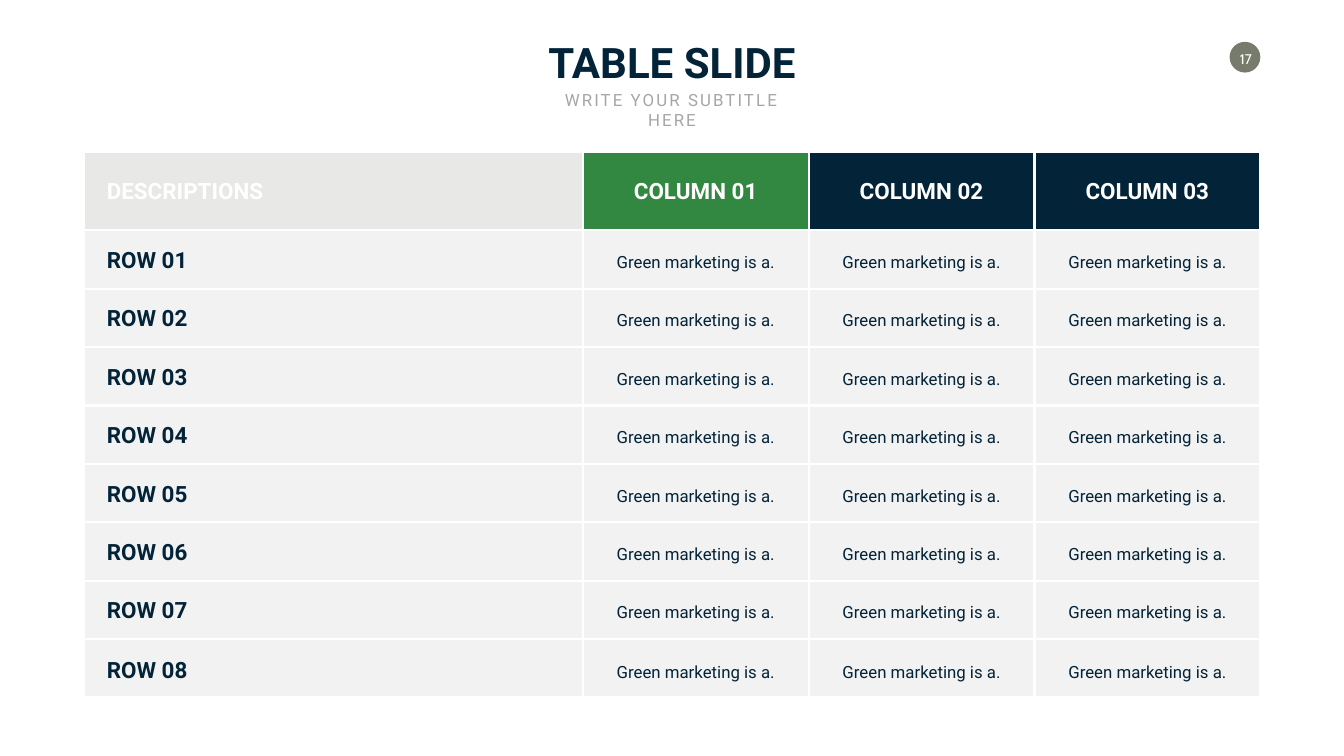
"""Build a table slide with a title, a subtitle and a page badge."""
from pptx import Presentation
from pptx.dml.color import RGBColor
from pptx.enum.shapes import MSO_SHAPE
from pptx.enum.text import MSO_ANCHOR, PP_ALIGN
from pptx.util import Inches, Pt

LEFT, MID = PP_ALIGN.LEFT, PP_ALIGN.CENTER
TOP, CORE = MSO_ANCHOR.TOP, MSO_ANCHOR.MIDDLE
OVAL, RECT = MSO_SHAPE.OVAL, MSO_SHAPE.RECTANGLE

INK = {
    "navy": "022338", "green": "328840", "white": "FFFFFF", "mist": "E8E9E6",
    "pale": "F2F2F2", "gray": "A6A6A6", "olive": "767B6C",
}
HEAD = [("DESCRIPTIONS", "mist"), ("COLUMN 01", "green"),
        ("COLUMN 02", "navy"), ("COLUMN 03", "navy")]
NAMES = [f"ROW {n:02}" for n in range(1, 9)]
BODY = "Green marketing is a."

WIDE, HIGH = 26.66, 15
GRID_TOP, GRID_END = 3.01, 13.84
CAP = 1.56
COLS = [9.9] + [4.48] * 3
ROWS = [CAP] + [(GRID_END - GRID_TOP - CAP) / len(NAMES)] * len(NAMES)
EDGE = (WIDE - sum(COLS)) / 2
PAD = 0.36
DOT, DOT_TOP = 0.61, 0.83
LAST_DROP = 0.02


def paint(fill, name):
    fill.solid()
    fill.fore_color.rgb = RGBColor.from_string(INK[name])


def write(frame, text, size, color, bold=False, align=MID, face="Roboto"):
    para = frame.paragraphs[0]
    para.alignment = align
    run = para.add_run()
    run.text = text
    font = run.font
    font.name, font.size, font.bold = face, Pt(size), bold
    font.color.rgb = RGBColor.from_string(INK[color])
    return para


def add_box(slide, mid, top, wide, high, wrap=True, inset=None, anchor=TOP):
    box = slide.shapes.add_textbox(
        Inches(mid - wide / 2), Inches(top), Inches(wide), Inches(high))
    frame = box.text_frame
    frame.word_wrap = wrap
    frame.vertical_anchor = anchor
    if inset is not None:
        frame.margin_left = frame.margin_right = inset
        frame.margin_top = frame.margin_bottom = inset
    return frame


def add_block(slide, kind, left, top, wide, high, shade):
    block = slide.shapes.add_shape(
        kind, Inches(left), Inches(top), Inches(wide), Inches(high))
    block.shadow.inherit = False
    paint(block.fill, shade)
    return block


def add_title(slide):
    frame = add_box(slide, WIDE / 2, 0.67, 5.15, 1.11, wrap=False)
    write(frame, "TABLE SLIDE", 60, "navy", True)
    frame = add_box(slide, WIDE / 2, 1.73, 5.43, 0.5)
    para = write(frame, "WRITE YOUR SUBTITLE HERE", 24, "gray")
    para.runs[0]._r.get_or_add_rPr().set("spc", "300")


def add_badge(slide):
    left = WIDE - EDGE - DOT
    dot = add_block(slide, OVAL, left, DOT_TOP, DOT, DOT, "olive")
    dot.line.fill.background()
    frame = add_box(slide, left + DOT / 2 + 0.02, 0.99, 0.41, 0.34,
                    wrap=False, inset=0, anchor=CORE)
    write(frame, "17", 20, "white", face="Cabin")


def add_grid(slide):
    spots = []
    for r, high in enumerate(ROWS):
        top = GRID_TOP + sum(ROWS[:r])
        for c, wide in enumerate(COLS):
            left = EDGE + sum(COLS[:c])
            shade = "pale" if r else HEAD[c][1]
            block = add_block(slide, RECT, left, top, wide, high, shade)
            paint(block.line.fill, "white")
            block.line.width = Pt(3)
            spots.append((r, c, left + wide / 2, top + high / 2))
    for r, c, mid, core in spots:
        plain = r and c
        high = 0.54 if plain else 0.64
        drop = LAST_DROP if r == len(NAMES) else 0
        frame = add_box(slide, mid, core - high / 2 + drop,
                        COLS[c] - 2 * PAD, high, anchor=CORE)
        if plain:
            write(frame, BODY, 24, "navy").line_spacing = Pt(35)
        else:
            text = NAMES[r - 1] if r else HEAD[c][0]
            write(frame, text, 32, "navy" if r else "white", True,
                  MID if c else LEFT)


def main():
    deck = Presentation()
    deck.slide_width, deck.slide_height = Inches(WIDE), Inches(HIGH)
    slide = deck.slides.add_slide(deck.slide_layouts[6])
    paint(slide.background.fill, "white")
    add_badge(slide)
    add_title(slide)
    add_grid(slide)
    deck.save("out.pptx")


if __name__ == "__main__":
    main()
